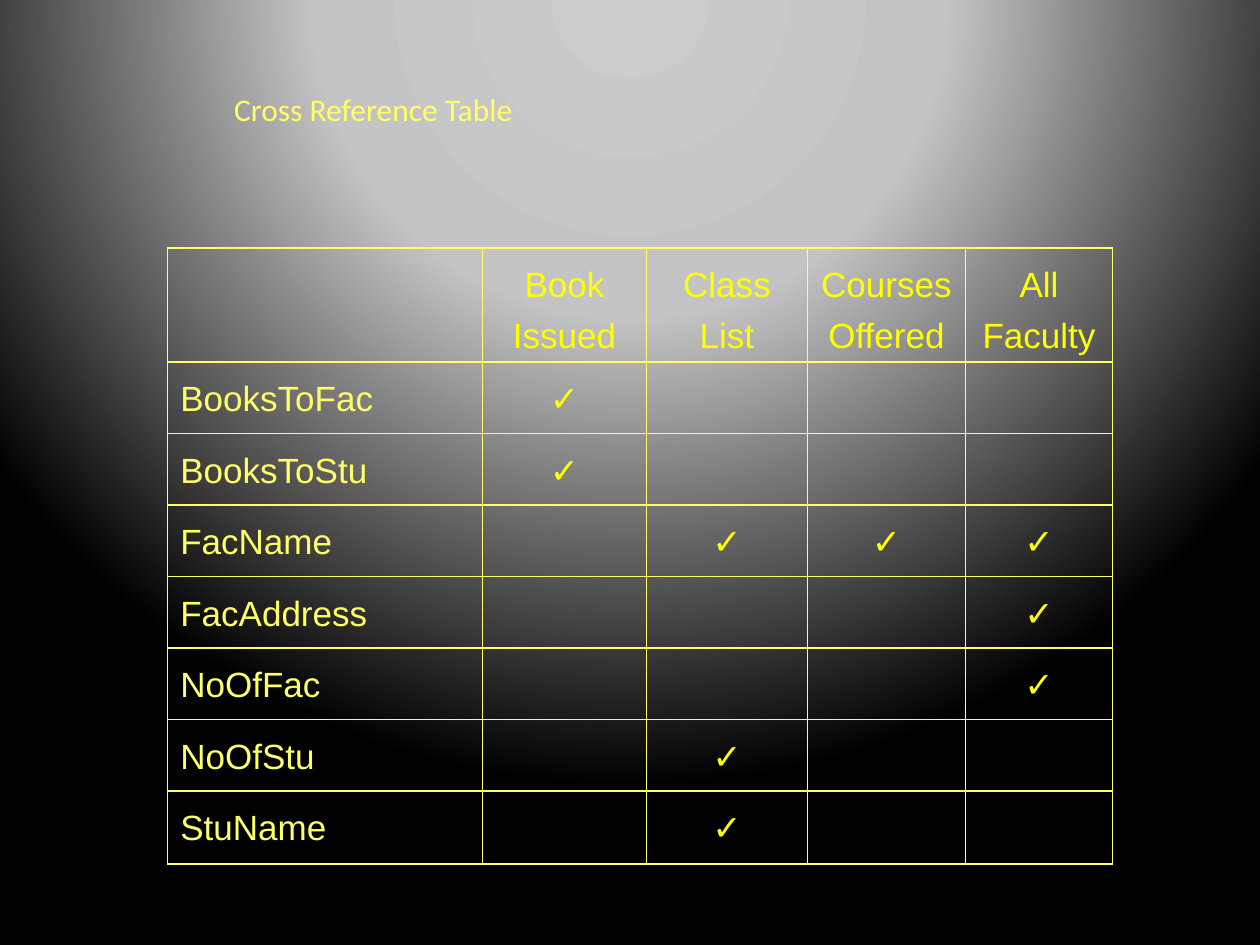
"""Build a slide with a cross reference table of fields against reports."""
import dataclasses

import pptx
import pptx.dml.color
import pptx.enum.text
import pptx.oxml
import pptx.oxml.ns
import pptx.util
from pptx.util import Cm

YELLOW = "FFFF00"
PALE_YELLOW = "FFFF66"
REPORTS = ["Book Issued", "Class List", "Courses Offered", "All Faculty"]
COLUMN_WIDTHS = [Cm(6.35), Cm(3.3), Cm(3.25), Cm(3.18), Cm(2.97)]
HEADER_HEIGHT = Cm(2.3)
FIELD_HEIGHT = Cm(1.44)
LAST_HEIGHT = Cm(1.48)
BACKDROP_STOPS = [(0, "CCCCCC"), (40, "C4C4C4"), (100, "000000")]
BORDER_SIDES = ["lnL", "lnR", "lnT", "lnB"]


@dataclasses.dataclass
class Field:
    name: str
    reports: list[str]


FIELDS = [
    Field("BooksToFac", ["Book Issued"]),
    Field("BooksToStu", ["Book Issued"]),
    Field("FacName", ["Class List", "Courses Offered", "All Faculty"]),
    Field("FacAddress", ["All Faculty"]),
    Field("NoOfFac", ["All Faculty"]),
    Field("NoOfStu", ["Class List"]),
    Field("StuName", ["Class List"]),
]


def style_font(font, name: str, size: float, color: str) -> None:
    font.name = name
    font.size = pptx.util.Pt(size)
    font.color.rgb = pptx.dml.color.RGBColor.from_string(color)


def paint_backdrop(slide) -> None:
    stops = "".join(
        f'<a:gs pos="{percent * 1000}"><a:srgbClr val="{color}"/></a:gs>'
        for percent, color in BACKDROP_STOPS
    )
    backdrop = pptx.oxml.parse_xml(
        f'<p:bg {pptx.oxml.ns.nsdecls("p", "a")}><p:bgPr>'
        f'<a:gradFill rotWithShape="1"><a:gsLst>{stops}</a:gsLst><a:path path="circle">'
        '<a:fillToRect l="50000" t="-80000" r="50000" b="180000"/></a:path></a:gradFill>'
        "<a:effectLst/></p:bgPr></p:bg>"
    )
    slide.element.cSld.insert(0, backdrop)


def add_title(slide, wording: str) -> None:
    title = slide.shapes.add_textbox(Cm(4.47), Cm(1.7), Cm(16.48), Cm(2.11))
    title.text_frame.word_wrap = True
    title.text_frame.text = wording
    style_font(title.text_frame.paragraphs[0].runs[0].font, "Calibri", 18, PALE_YELLOW)


def draw_borders(cell, color: str) -> None:
    properties = cell._tc.get_or_add_tcPr()
    for position, side in enumerate(BORDER_SIDES):
        border = pptx.oxml.parse_xml(
            f'<a:{side} {pptx.oxml.ns.nsdecls("a")} w="12700"><a:solidFill>'
            f'<a:srgbClr val="{color}"/></a:solidFill></a:{side}>'
        )
        properties.insert(position, border)


def fill_cell(cell, wording: str, color: str, alignment) -> None:
    cell.fill.background()
    draw_borders(cell, PALE_YELLOW)
    cell.text_frame.text = wording
    paragraph = cell.text_frame.paragraphs[0]
    paragraph.alignment = alignment
    paragraph.line_spacing = 1.3
    paragraph.space_before = pptx.util.Pt(4)
    style_font(paragraph.font, "Arial", 20, color)
    for run in paragraph.runs:
        style_font(run.font, "Arial", 20, color)


def add_cross_reference(slide, fields: list[Field]) -> None:
    heights = [HEADER_HEIGHT] + [FIELD_HEIGHT] * (len(fields) - 1) + [LAST_HEIGHT]
    matrix = slide.shapes.add_table(
        len(heights), len(COLUMN_WIDTHS), Cm(3.38), Cm(5), sum(COLUMN_WIDTHS), sum(heights)
    ).table
    matrix.first_row = False
    matrix.horz_banding = False
    for column, width in zip(matrix.columns, COLUMN_WIDTHS):
        column.width = width
    for row, height in zip(matrix.rows, heights):
        row.height = height

    entries = [["", *REPORTS]] + [
        [field.name] + ["✓" if report in field.reports else "" for report in REPORTS]
        for field in fields
    ]
    align = pptx.enum.text.PP_ALIGN
    for row, wordings in zip(matrix.rows, entries):
        field_cell, *report_cells = row.cells
        fill_cell(field_cell, wordings[0], PALE_YELLOW, align.LEFT)
        for cell, wording in zip(report_cells, wordings[1:]):
            fill_cell(cell, wording, YELLOW, align.CENTER)


def main() -> None:
    presentation = pptx.Presentation()
    presentation.slide_width = Cm(25.4)
    presentation.slide_height = Cm(19.05)
    slide = presentation.slides.add_slide(presentation.slide_layouts[6])
    paint_backdrop(slide)
    add_cross_reference(slide, FIELDS)
    add_title(slide, "Cross Reference Table")
    presentation.save("out.pptx")


if __name__ == "__main__":
    main()
